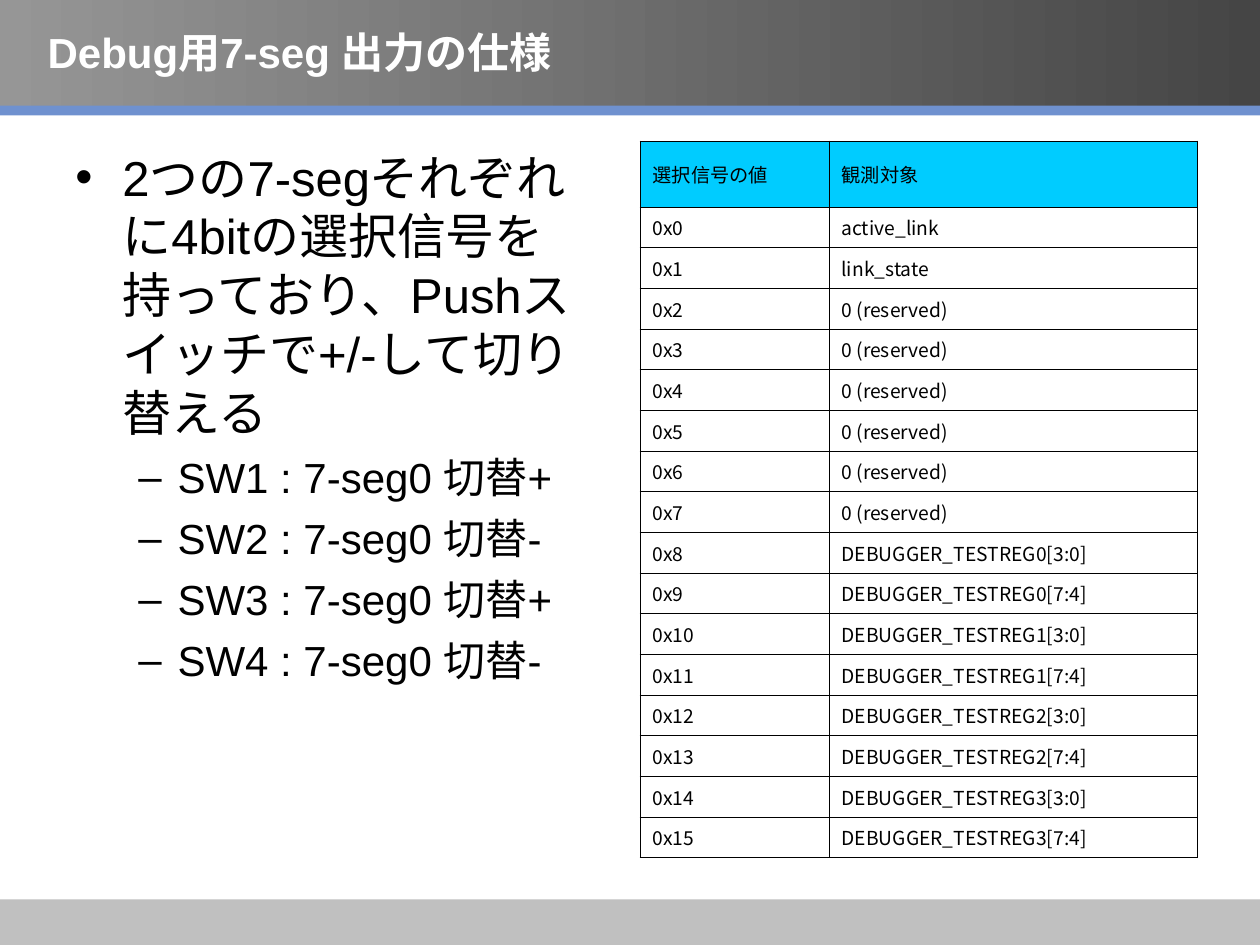
from lxml.etree import SubElement
from pptx import Presentation
from pptx.dml.color import RGBColor
from pptx.enum.shapes import MSO_SHAPE
from pptx.enum.text import MSO_ANCHOR
from pptx.oxml.ns import qn
from pptx.util import Cm, Pt

BLACK = RGBColor(0x00, 0x00, 0x00)
WHITE = RGBColor(0xFF, 0xFF, 0xFF)
DARK_GRAY = RGBColor(0x45, 0x45, 0x45)
MID_GRAY = RGBColor(0x96, 0x96, 0x96)
FOOTER_GRAY = RGBColor(0xC0, 0xC0, 0xC0)
STRIPE_BLUE = RGBColor(0x6F, 0x91, 0xCF)
HEADER_CYAN = RGBColor(0x00, 0xCC, 0xFF)

TITLE_FORMAT = {"name": "Arial", "size": Pt(24), "bold": True}
BODY_FORMAT = {"name": "Arial", "size": Pt(28)}
SWITCH_FORMAT = {"name": "Arial", "size": Pt(24)}
TABLE_FORMAT = {"name": "Noto Sans CJK JP", "size": Pt(11)}

SLIDE_WIDTH, SLIDE_HEIGHT = Cm(25.4), Cm(19.05)

INTRODUCTION = "2つの7-segそれぞれに4bitの選択信号を持っており、Pushスイッチで+/-して切り替える"
SWITCHES = [f"SW{number} : 7-seg0 切替{sign}" for number, sign in enumerate("+-+-", 1)]

TARGETS = (
    ["active_link", "link_state"]
    + ["0 (reserved)"] * 6
    + [f"DEBUGGER_TESTREG{register}[{bits}]"
       for register in range(4) for bits in ("3:0", "7:4")]
)
TABLE_ROWS = [("選択信号の値", "観測対象")] + [
    (f"0x{value}", target) for value, target in enumerate(TARGETS)
]


def write_text(paragraph, text, text_format, color=BLACK):
    run = paragraph.add_run()
    run.text = text
    for name, value in text_format.items():
        setattr(run.font, name, value)
    run.font.color.rgb = color


def add_band(slide, top, height, color):
    band = slide.shapes.add_shape(MSO_SHAPE.RECTANGLE, 0, top, SLIDE_WIDTH, height)
    band.shadow.inherit = False
    band.fill.solid()
    band.fill.fore_color.rgb = color
    band.line.fill.background()
    return band


def shade_band(band, left_color, right_color):
    band.fill.gradient()
    band.fill.gradient_angle = 0
    for stop, color in zip(band.fill.gradient_stops, (left_color, right_color)):
        stop.color.rgb = color


def add_text_frame(slide, left, top, width, height, anchor):
    frame = slide.shapes.add_textbox(left, top, width, height).text_frame
    frame.word_wrap = True
    frame.vertical_anchor = anchor
    return frame


def set_bullet(paragraph, character, margin, hanging):
    properties = paragraph._p.get_or_add_pPr()
    properties.set("marL", str(margin))
    properties.set("indent", str(-hanging))
    SubElement(properties, qn("a:buFont")).set("typeface", "Arial")
    SubElement(properties, qn("a:buChar")).set("char", character)


def add_switch_list(slide):
    frame = add_text_frame(slide, Cm(1.27), Cm(2.84), Cm(11.23), Cm(14.3), MSO_ANCHOR.TOP)
    paragraph = frame.paragraphs[0]
    set_bullet(paragraph, "•", Cm(0.95), Cm(0.95))
    write_text(paragraph, INTRODUCTION, BODY_FORMAT)
    for switch in SWITCHES:
        paragraph = frame.add_paragraph()
        paragraph.level = 1
        set_bullet(paragraph, "–", Cm(2.06), Cm(0.79))
        paragraph.space_before = Pt(6)
        write_text(paragraph, switch, SWITCH_FORMAT)


def set_borders(cell, color, width):
    properties = cell._tc.get_or_add_tcPr()
    for side in ("a:lnL", "a:lnR", "a:lnT", "a:lnB"):
        line = SubElement(properties, qn(side), w=str(width))
        fill = SubElement(line, qn("a:solidFill"))
        SubElement(fill, qn("a:srgbClr")).set("val", str(color))


def add_signal_table(slide):
    header_height, row_height = Cm(1.33), Cm(0.82)
    widths = (Cm(3.81), Cm(7.42))
    height = header_height + row_height * len(TARGETS)
    table = slide.shapes.add_table(
        len(TABLE_ROWS), len(widths), Cm(12.9), Cm(2.84), sum(widths), height
    ).table
    table.first_row = table.horz_banding = False
    for column, width in zip(table.columns, widths):
        column.width = width
    for index, (row, texts) in enumerate(zip(table.rows, TABLE_ROWS)):
        row.height = row_height if index else header_height
        for cell, text in zip(row.cells, texts):
            cell.vertical_anchor = MSO_ANCHOR.MIDDLE
            set_borders(cell, BLACK, Pt(0.45))
            if index:
                cell.fill.background()
            else:
                cell.fill.solid()
                cell.fill.fore_color.rgb = HEADER_CYAN
            write_text(cell.text_frame.paragraphs[0], text, TABLE_FORMAT)


def main():
    presentation = Presentation()
    presentation.slide_width, presentation.slide_height = SLIDE_WIDTH, SLIDE_HEIGHT
    slide = presentation.slides.add_slide(presentation.slide_layouts[6])

    # Footer, header and stripe
    add_band(slide, Cm(18.13), Cm(0.92), FOOTER_GRAY)
    header = add_band(slide, 0, Cm(2.13), DARK_GRAY)
    shade_band(header, MID_GRAY, DARK_GRAY)
    add_band(slide, Cm(2.13), Cm(0.2), STRIPE_BLUE)

    # Title
    title = add_text_frame(slide, Cm(0.71), Cm(0.36), Cm(17.35), Cm(1.37), MSO_ANCHOR.MIDDLE)
    write_text(title.paragraphs[0], "Debug用7-seg 出力の仕様", TITLE_FORMAT, WHITE)

    # Description and table of selected signals
    add_switch_list(slide)
    add_signal_table(slide)

    presentation.save("out.pptx")


if __name__ == "__main__":
    main()
